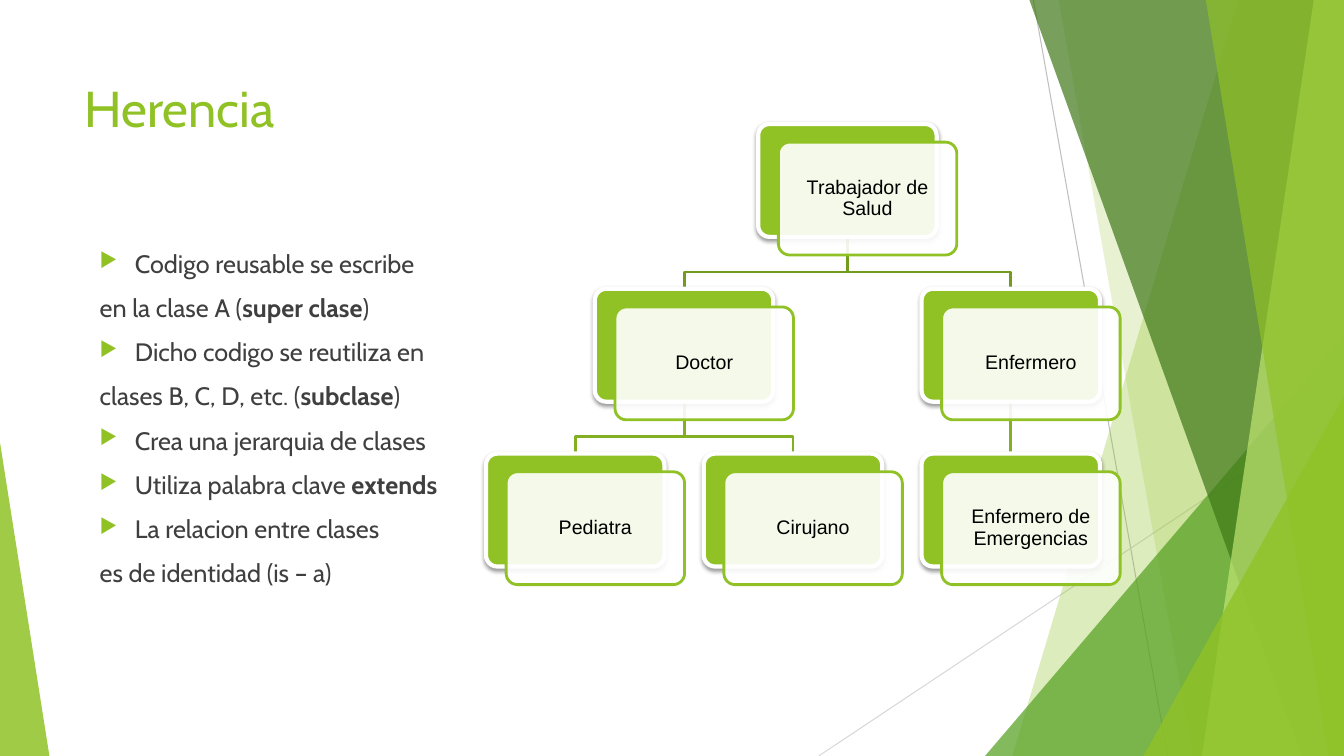
from dataclasses import dataclass

from lxml.etree import SubElement
from pptx import Presentation
from pptx.dml.color import RGBColor
from pptx.enum.shapes import MSO_CONNECTOR as Connector, MSO_SHAPE as Shape
from pptx.enum.text import MSO_ANCHOR as Anchor, PP_ALIGN as Align
from pptx.oxml.ns import qn
from pptx.util import Inches, Pt


@dataclass(frozen=True)
class Theme:
    green: str = "90C226"
    leaf: str = "54A021"
    forest: str = "3F7818"
    lime: str = "BFE471"
    ink: str = "3F3F3F"
    black: str = "000000"
    white: str = "FFFFFF"
    thin_lines: tuple = ("BFBFBF", "D8D8D8")
    branches: tuple = ("739B1E", "83B022")
    text_font: str = "Cabin"
    card_font: str = "Arial"
    title_size: int = 36
    body_size: int = 18
    card_size: int = 14


@dataclass(frozen=True)
class Box:
    left: float
    top: float
    width: float
    height: float

    @property
    def right(self):
        return self.left + self.width

    @property
    def bottom(self):
        return self.top + self.height

    def lengths(self):
        return [Inches(v) for v in (self.left, self.top, self.width, self.height)]


THEME = Theme()
POINTS = [
    (True, ["Codigo reusable se escribe"]),
    (False, ["en la clase A (", "super clase", ")"]),
    (True, ["Dicho codigo se reutiliza en"]),
    (False, ["clases B, C, D, etc. (", "subclase", ")"]),
    (True, ["Crea una jerarquia de clases"]),
    (True, ["Utiliza palabra clave ", "extends"]),
    (True, ["La relacion entre clases"]),
    (False, ["es de identidad (is – a)"]),
]
CLASSES = {
    "Trabajador de Salud": (2.5, 0, None),
    "Doctor": (1, 1, "Trabajador de Salud"),
    "Pediatra": (0, 2, "Doctor"),
    "Cirujano": (2, 2, "Doctor"),
    "Enfermero": (4, 1, "Trabajador de Salud"),
    "Enfermero de Emergencias": (4, 2, "Enfermero"),
}


def assign(target, values):
    for name, value in values.items():
        setattr(target, name, value)


def paint(shape, color, opacity=100):
    shape.shadow.inherit = False
    shape.fill.solid()
    shape.fill.fore_color.rgb = RGBColor.from_string(color)
    if opacity < 100:
        tint = shape.element.spPr.find(qn("a:solidFill")).find(qn("a:srgbClr"))
        SubElement(tint, qn("a:alpha"), val=str(opacity * 1000))


def outline(shape, color, width):
    shape.line.color.rgb = RGBColor.from_string(color)
    shape.line.width = Pt(width)


def straight_line(slide, start, end, color, width):
    line = slide.shapes.add_connector(
        Connector.STRAIGHT, *[Inches(v) for v in (*start, *end)])
    outline(line, color, width)
    SubElement(line.element.spPr, qn("a:effectLst"))
    return line


def polyline(slide, points, close):
    corners = [(Inches(x), Inches(y)) for x, y in points]
    builder = slide.shapes.build_freeform(*corners[0], scale=1)
    builder.add_line_segments(corners[1:], close=close)
    shape = builder.convert_to_shape()
    shape.shadow.inherit = False
    return shape


def write(paragraph, text, font, size, color, bold=False):
    run = paragraph.add_run()
    run.text = text
    assign(run.font, {"name": font, "size": Pt(size), "bold": bold})
    run.font.color.rgb = RGBColor.from_string(color)


def set_frame(frame, margin_x, margin_y, anchor):
    assign(frame, {
        "word_wrap": True, "vertical_anchor": anchor,
        "margin_left": Inches(margin_x), "margin_right": Inches(margin_x),
        "margin_top": Inches(margin_y), "margin_bottom": Inches(margin_y)})


def draw_facets(slide, box):
    thin_ends = [((box.right - 3.08, box.top), (box.right - 1.75, box.bottom)),
                 ((box.right, box.top + 4.03), (box.right - 5.21, box.bottom))]
    for ends, color in zip(thin_ends, THEME.thin_lines):
        straight_line(slide, *ends, color, 0.75)

    def band(top_reach, bottom_reach, color, opacity):
        facet = polyline(slide, [
            (box.right - top_reach, box.top), (box.right, box.top),
            (box.right, box.bottom), (box.right - bottom_reach, box.bottom)], True)
        paint(facet, color, opacity)
        facet.line.fill.background()

    def corner(left, width, height, apex, color, opacity):
        area = Box(left, box.bottom - height, width, height)
        facet = slide.shapes.add_shape(Shape.ISOSCELES_TRIANGLE, *area.lengths())
        facet.adjustments[0] = apex
        paint(facet, color, opacity)
        facet.line.fill.background()

    band(1.05, 3.29, THEME.green, 30)
    band(2.83, 1.5, THEME.green, 20)
    corner(box.right - 3.56, 3.56, 4.17, 1, THEME.leaf, 72)
    band(3.12, 0.42, THEME.forest, 70)
    band(0.3, 1.41, THEME.lime, 70)
    band(1.37, 0.15, THEME.green, 65)
    corner(box.right - 1.99, 1.99, 3.57, 1, THEME.green, 80)
    corner(box.left, 0.49, 3.11, 0, THEME.green, 85)


def draw_title(slide, box):
    frame = slide.shapes.add_textbox(*box.lengths()).text_frame
    set_frame(frame, 0.1, 0.1, Anchor.TOP)
    write(frame.paragraphs[0], "Herencia", THEME.text_font,
          THEME.title_size, THEME.green)


def draw_points(slide, box):
    frame = slide.shapes.add_textbox(*box.lengths()).text_frame
    set_frame(frame, 0.1, 0.1, Anchor.TOP)
    for row, (bulleted, parts) in enumerate(POINTS):
        paragraph = frame.add_paragraph() if row else frame.paragraphs[0]
        layout = paragraph._p.get_or_add_pPr()
        layout.set("marL", str(Inches(0.5 if bulleted else 0.15)))
        layout.set("indent", str(Inches(-0.35 if bulleted else 0)))
        if bulleted:
            tint = SubElement(layout, qn("a:buClr"))
            SubElement(tint, qn("a:srgbClr"), val=THEME.green)
            SubElement(layout, qn("a:buSzPct"), val="80000")
            SubElement(layout, qn("a:buChar"), char="▶")
        paragraph.space_before = Pt(10 if row else 0)
        for order, part in enumerate(parts):
            write(paragraph, part, THEME.text_font, THEME.body_size,
                  THEME.ink, bold=order == 1)


def draw_class(slide, name, box, shift_x, shift_y):
    back = slide.shapes.add_shape(Shape.ROUNDED_RECTANGLE, *box.lengths())
    paint(back, THEME.green)
    outline(back, THEME.white, 3)
    effects = back.element.spPr.find(qn("a:effectLst"))
    shadow = SubElement(effects, qn("a:outerShdw"), blurRad=str(Pt(3.1)),
                        dist=str(Pt(1.6)), dir="5400000", rotWithShape="0")
    tint = SubElement(shadow, qn("a:srgbClr"), val=THEME.black)
    SubElement(tint, qn("a:alpha"), val="38000")

    area = Box(box.left + shift_x, box.top + shift_y, box.width, box.height)
    front = slide.shapes.add_shape(Shape.ROUNDED_RECTANGLE, *area.lengths())
    paint(front, THEME.white, 90)
    outline(front, THEME.green, 2)
    for card in (back, front):
        card.adjustments[0] = 0.1
    set_frame(front.text_frame, 0.06, 0.06, Anchor.MIDDLE)
    label = front.text_frame.paragraphs[0]
    assign(label, {"alignment": Align.CENTER, "line_spacing": 0.9})
    write(label, name, THEME.card_font, THEME.card_size, THEME.black)
    return back


def draw_hierarchy(slide, box):
    width, height, shift_x, shift_y = 1.77, 1.12, 0.2, 0.18
    step_x = (box.width - width - shift_x) / 4
    step_y = (box.height - height - shift_y) / 2
    places = {name: Box(box.left + column * step_x, box.top + level * step_y,
                        width, height)
              for name, (column, level, _) in CLASSES.items()}
    joins = []
    for name, (column, level, parent) in CLASSES.items():
        if parent is None:
            continue
        above, below = places[parent], places[name]
        start = (above.left + width / 2, above.bottom)
        end = (below.left + width / 2, below.top)
        color = THEME.branches[level - 1]
        if column == CLASSES[parent][0]:
            joins.append((straight_line(slide, start, end, color, 2), parent, name))
        else:
            bend = above.bottom + 0.35
            branch = polyline(
                slide, [start, (start[0], bend), (end[0], bend), end], False)
            branch.fill.background()
            outline(branch, color, 2)
    cards = {name: draw_class(slide, name, place, shift_x, shift_y)
             for name, place in places.items()}
    for line, parent, child in joins:
        line.begin_connect(cards[parent], 2)
        line.end_connect(cards[child], 0)


def main():
    deck = Presentation()
    assign(deck, {"slide_width": Inches(13.33), "slide_height": Inches(7.5)})
    slide = deck.slides.add_slide(deck.slide_layouts[6])
    draw_facets(slide, Box(0, 0, 13.33, 7.5))
    draw_title(slide, Box(0.74, 0.67, 9.4, 1.44))
    draw_points(slide, Box(0.74, 2.36, 9.4, 4.24))
    draw_hierarchy(slide, Box(4.82, 1.23, 6.29, 4.57))
    deck.save("out.pptx")


if __name__ == "__main__":
    main()
